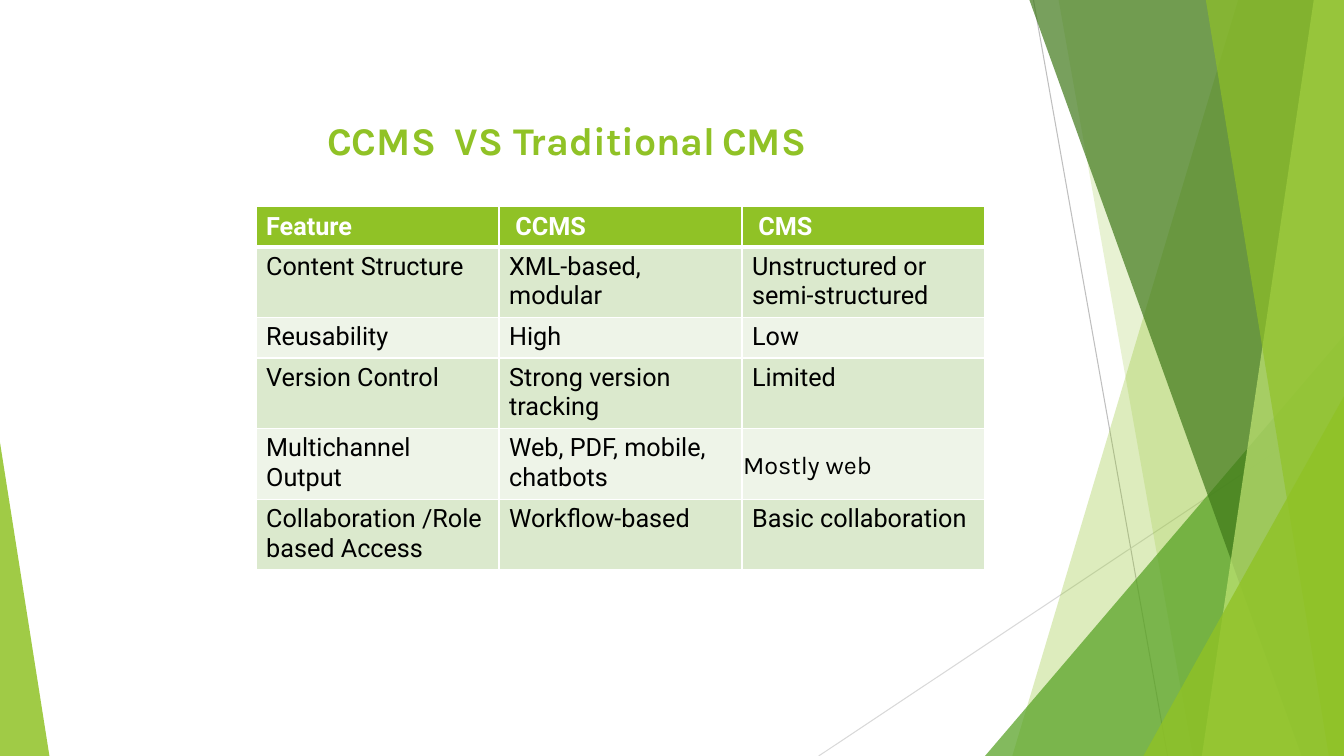
import dataclasses

import pptx
import pptx.dml.color
import pptx.enum.shapes
import pptx.enum.text
import pptx.oxml.ns
import pptx.oxml.xmlchemy
import pptx.util
from pptx.util import Inches


@dataclasses.dataclass(frozen=True)
class Theme:
    """Colours, fonts and type sizes of the deck."""
    lime: str = "90C226"
    green: str = "54A021"
    forest: str = "3F7819"
    pale: str = "C0E474"
    band_dark: str = "DBE9CD"
    band_light: str = "EEF4E8"
    white: str = "FFFFFF"
    black: str = "000000"
    rule_dark: str = "BFBFBF"
    rule_light: str = "D9D9D9"
    title_font: str = "Karla"
    body_font: str = "Roboto"
    title_size: int = 28
    body_size: int = 18


@dataclasses.dataclass(frozen=True)
class Box:
    """A region of the slide, in inches."""
    left: float
    top: float
    width: float
    height: float

    @property
    def right(self):
        """Give the right edge."""
        return self.left + self.width

    @property
    def bottom(self):
        """Give the bottom edge."""
        return self.top + self.height


THEME = Theme()
SLIDE = Box(0, 0, 13.33, 7.5)
FEATURES = [
    ("Feature", " CCMS", " CMS"),
    ("Content Structure", "XML-based, modular", "Unstructured or semi-structured"),
    ("Reusability", "High", "Low"),
    ("Version Control", "Strong version tracking", "Limited"),
    ("Multichannel Output", "Web, PDF, mobile, chatbots", "Mostly web"),
    ("Collaboration /Role based Access", "Workflow-based", "Basic collaboration"),
]
ROW_HEIGHTS = [0.4, 0.7, 0.4, 0.7, 0.7, 0.7]


def rgb(color):
    """Turn a hex string into a colour."""
    return pptx.dml.color.RGBColor.from_string(color)


def new_node(tag):
    """Make an empty drawing element."""
    return pptx.oxml.xmlchemy.OxmlElement(tag)


def add_span(para, text, font, size, color, bold=False):
    """Add one styled run to a paragraph."""
    span = para.add_run()
    span.text = text
    span.font.name = font
    span.font.size = pptx.util.Pt(size)
    span.font.color.rgb = rgb(color)
    span.font.bold = bold
    return span


def paint(shape, color, opacity):
    """Give a shape a translucent fill without line or shadow."""
    shape.shadow.inherit = False
    shape.line.fill.background()
    shape.fill.solid()
    shape.fill.fore_color.rgb = rgb(color)
    tint = shape.element.spPr.find(".//" + pptx.oxml.ns.qn("a:srgbClr"))
    alpha = new_node("a:alpha")
    alpha.set("val", str(opacity * 1000))
    tint.append(alpha)


def add_ribbon(page, box, top_reach, bottom_reach, color, opacity):
    """Draw a full-height ribbon that reaches inwards from the right edge."""
    corners = [(box.right - top_reach, box.top), (box.right, box.top),
               (box.right, box.bottom), (box.right - bottom_reach, box.bottom)]
    points = [(Inches(x), Inches(y)) for x, y in corners]
    builder = page.shapes.build_freeform(*points[0])
    builder.add_line_segments(points[1:], close=True)
    paint(builder.convert_to_shape(), color, opacity)


def add_wedge(page, box, apex, color, opacity):
    """Draw a right triangle filling the box, its apex at the left or right."""
    wedge = page.shapes.add_shape(
        pptx.enum.shapes.MSO_SHAPE.ISOSCELES_TRIANGLE,
        Inches(box.left), Inches(box.top), Inches(box.width), Inches(box.height))
    wedge.adjustments[0] = apex
    paint(wedge, color, opacity)


def add_rule(page, start, end, color):
    """Draw a hairline between two points."""
    rule = page.shapes.add_connector(
        pptx.enum.shapes.MSO_CONNECTOR.STRAIGHT, *map(Inches, start + end))
    rule.line.color.rgb = rgb(color)
    rule.line.width = pptx.util.Pt(0.75)
    rule._element.spPr.append(new_node("a:effectLst"))


def add_facets(page, box):
    """Build the layered green facets along the right edge."""
    def corner(width, height):
        return Box(box.right - width, box.bottom - height, width, height)

    add_rule(page, (box.left + 2.13, box.top), (box.left + 3.46, box.bottom),
             THEME.rule_dark)
    add_rule(page, (box.right, box.top + 4.03), (box.left, box.bottom),
             THEME.rule_light)
    add_ribbon(page, box, 1.05, 3.29, THEME.lime, 30)
    add_ribbon(page, box, 2.83, 1.5, THEME.lime, 20)
    add_wedge(page, corner(3.56, 4.17), 1, THEME.green, 72)
    add_ribbon(page, box, 3.12, 0.42, THEME.forest, 70)
    add_ribbon(page, box, 0.3, 1.41, THEME.pale, 70)
    add_ribbon(page, box, 1.37, 0.15, THEME.lime, 65)
    add_wedge(page, corner(1.99, 3.57), 1, THEME.lime, 80)


def add_title(page, box):
    """Write the centred title."""
    frame = page.shapes.add_textbox(
        Inches(box.left), Inches(box.top), Inches(box.width),
        Inches(box.height)).text_frame
    frame.word_wrap = True
    para = frame.paragraphs[0]
    para.alignment = pptx.enum.text.PP_ALIGN.CENTER
    para.line_spacing = 1.15
    para.space_after = pptx.util.Pt(8)
    title = (THEME.title_font, THEME.title_size, THEME.lime, True)
    space = (THEME.title_font, THEME.body_size, THEME.black, True)
    add_span(para, "CCMS", *title)
    gap = add_span(para, " ", *space)
    gap._r.get_or_add_rPr().set("spc", "900")
    add_span(para, "VS Traditional", *title)
    add_span(para, " ", *space)
    add_span(para, "CMS", *title)


def style_cell(cell, color, bottom_width):
    """Give a cell white borders and a solid fill."""
    props = cell._tc.get_or_add_tcPr()
    for side, width in (("L", 1), ("R", 1), ("T", 1), ("B", bottom_width)):
        border = new_node("a:ln" + side)
        border.set("w", str(pptx.util.Pt(width)))
        border_fill = new_node("a:solidFill")
        tint = new_node("a:srgbClr")
        tint.set("val", THEME.white)
        border_fill.append(tint)
        border.append(border_fill)
        props.append(border)
    cell.fill.solid()
    cell.fill.fore_color.rgb = rgb(color)


def add_comparison(page, box):
    """Build the feature table."""
    table = page.shapes.add_table(
        len(FEATURES), len(FEATURES[0]), Inches(box.left), Inches(box.top),
        Inches(box.width), Inches(box.height)).table
    for row, height in zip(table.rows, ROW_HEIGHTS):
        row.height = Inches(height)
    for r, texts in enumerate(FEATURES):
        header = r == 0
        band = THEME.band_dark if r % 2 else THEME.band_light
        for c, text in enumerate(texts):
            cell = table.cell(r, c)
            style_cell(cell, THEME.lime if header else band, 3 if header else 1)
            para = cell.text_frame.paragraphs[0]
            font = THEME.body_font
            if text == "Mostly web":
                font = THEME.title_font
                cell.vertical_anchor = pptx.enum.text.MSO_ANCHOR.MIDDLE
                cell.margin_left = cell.margin_right = Inches(0.01)
                cell.margin_top = cell.margin_bottom = Inches(0.01)
                para.line_spacing = 1.15
                para.space_after = pptx.util.Pt(8)
            add_span(para, text, font, THEME.body_size,
                     THEME.white if header else THEME.black, header)


def main():
    """Build and save the deck."""
    deck = pptx.Presentation()
    deck.slide_width, deck.slide_height = Inches(SLIDE.width), Inches(SLIDE.height)
    page = deck.slides.add_slide(deck.slide_layouts[6])
    add_facets(page, Box(8.12, 0, 5.21, SLIDE.height))
    add_wedge(page, Box(0, 4.39, 0.49, 3.11), 0, THEME.lime, 85)
    add_title(page, Box(2.11, 1.03, 7.02, 0.62))
    add_comparison(page, Box(2.54, 2.05, 7.23, sum(ROW_HEIGHTS)))
    deck.save("out.pptx")


if __name__ == "__main__":
    main()
